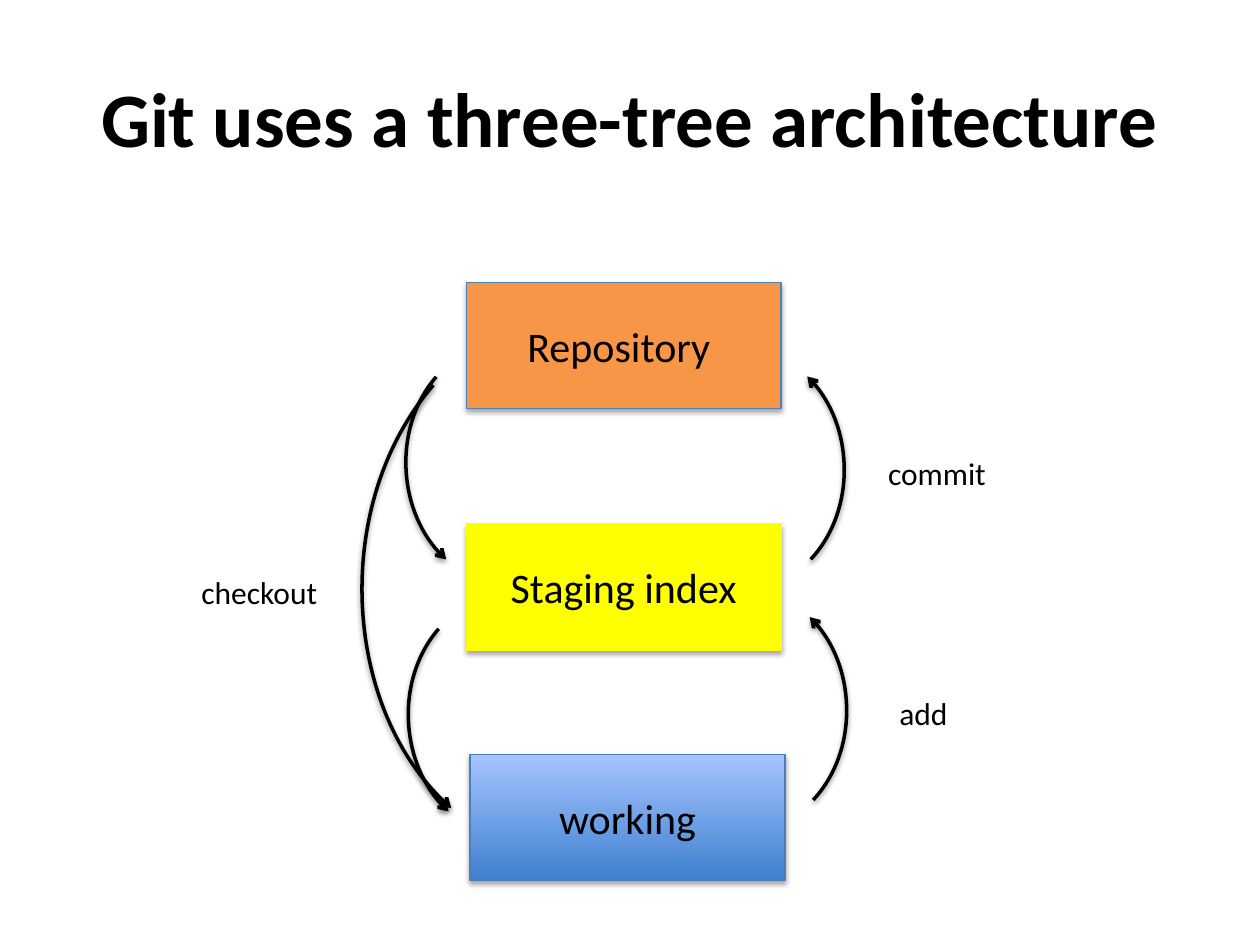
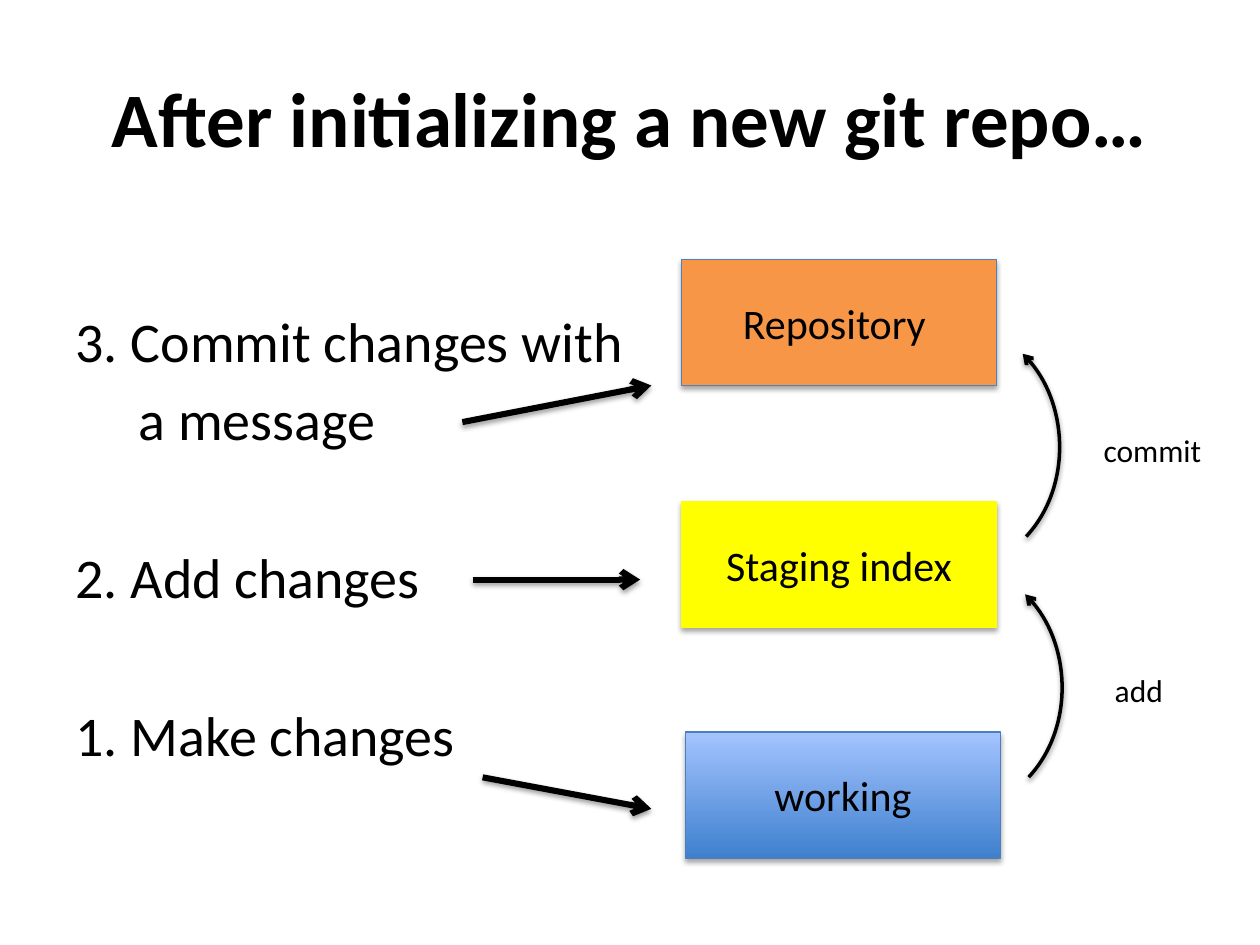
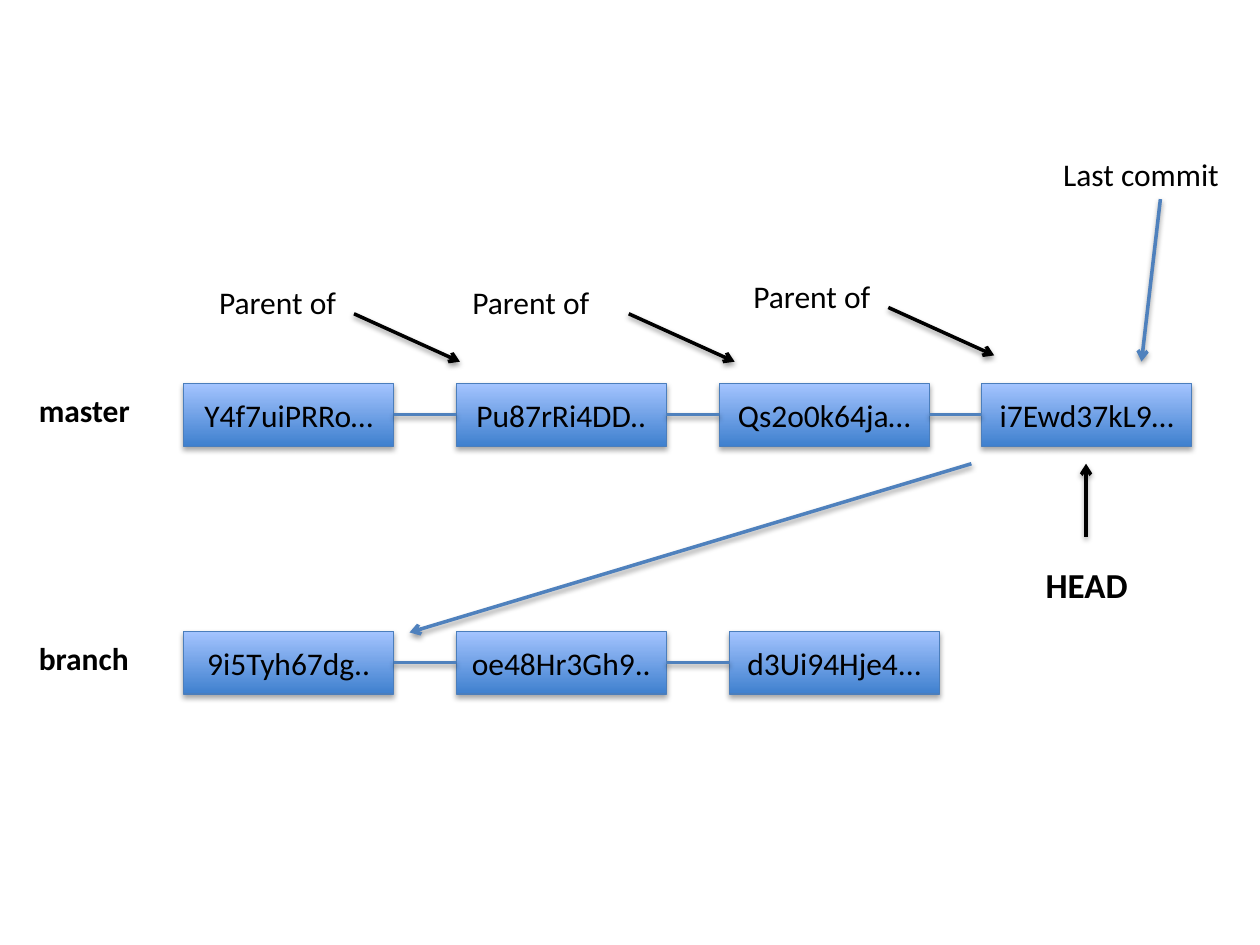
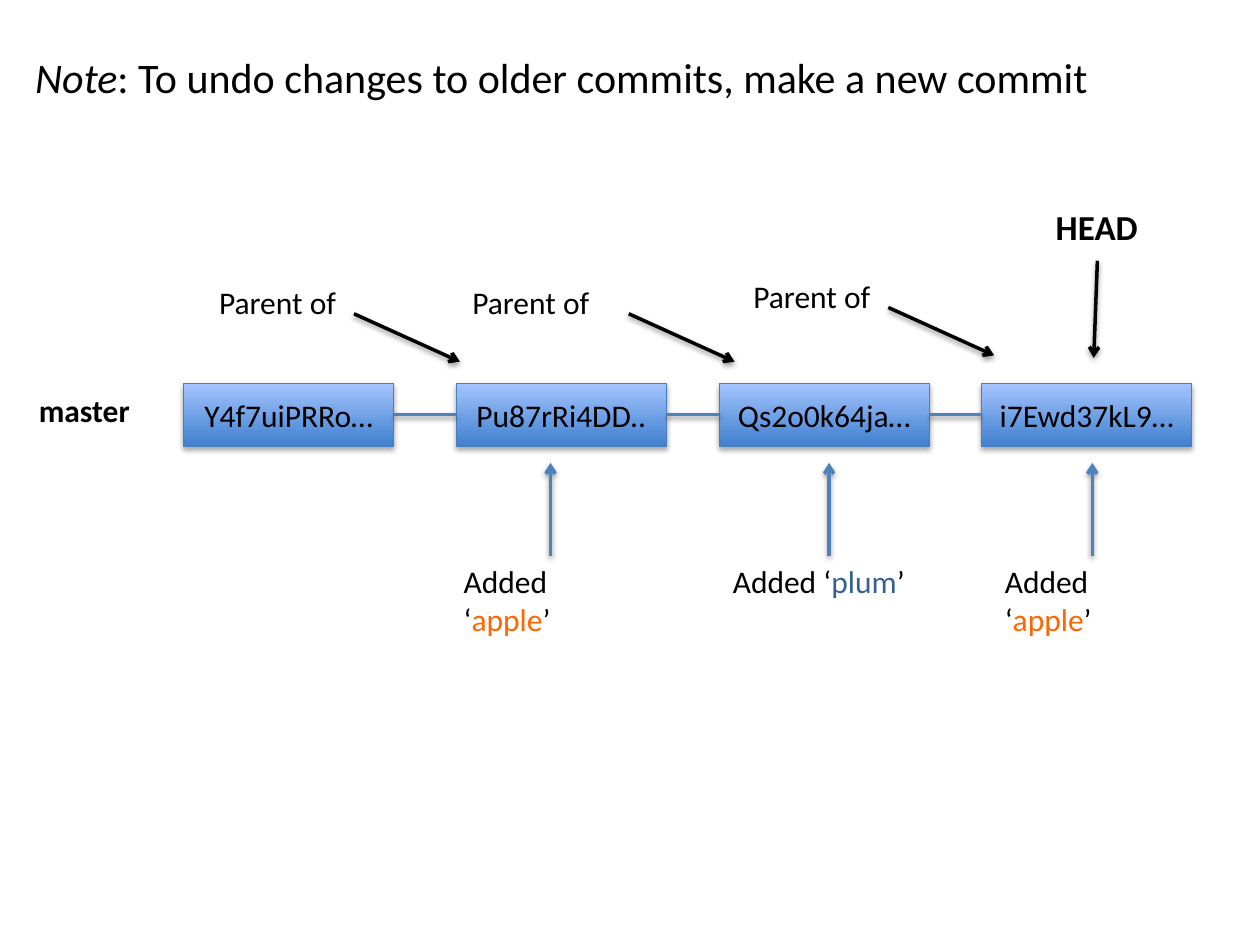
from lxml import etree
from pptx import Presentation
from pptx import util as u
from pptx.dml.color import RGBColor
from pptx.enum import shapes, text
from pptx.oxml import ns

# Shared style
FONT = "Calibri"
COLOURS = {
    "black": "000000", "yellow": "FFFF00", "orange": "F79646", "blue": "4F81BD",
    "gradient_low": "3F80CE", "gradient_high": "A4C4FF", "gradient_line": "4B7EBC",
    "apple": "FF6600", "plum": "376092",
}
NODE_SHADOW = {"alpha": 35, "blur": 3.1, "distance": 1.8}
LINE_SHADOW = {"alpha": 38, "blur": 3.1, "distance": 1.6}

# Three-tree diagram: boxes are (text, left, top, fill, outline)
TREE_BOX = (180, 72)
TREES = [
    ("Staging index", 266.4, 299.5, "yellow", "yellow"),
    ("working", 268.6, 431.3, None, "gradient_line"),
    ("Repository ", 266.4, 161.3, "orange", "blue"),
]
# Arcs are (left, top, width, height) before turning
ARC_SIZE = (75, 72.7)
UP_TURN, DOWN_TURN = 313, 131
UP_ARCS = [(424.8, 231.1, *ARC_SIZE), (426.2, 368.6, *ARC_SIZE)]
DOWN_ARCS = [(214.6, 231.1, *ARC_SIZE), (216, 375.1, *ARC_SIZE),
             (164.9, 257.8, 175.7, 166.3)]
# Labels are (text, left, top, width)
UP_LABELS = [("add", 506.8, 393.1, 42.5), ("commit", 500.4, 255.6, 71.3)]
CHECKOUT_LABEL = ("checkout", 108, 324, 82)

# Steps are (text, left indent, space before)
STEPS = [
    ("3. Commit changes with", 0, 0),
    ("a message", 36, 6.4),
    ("2. Add changes", 0, 51.9),
    ("1. Make changes", 0, 51.9),
]
STEP_ARROWS = [((275.8, 444.2), (372.2, 462.2)),
               ((270, 331.2), (365.8, 331.2)),
               ((264.2, 241.2), (372.2, 220.3))]

# Commit chains
COMMIT_BOX = (120, 36)
MASTER = {
    "name": "master", "top": 219,
    "commits": [("Y4f7uiPRRo…", 105), ("Pu87rRi4DD..", 260.75),
                ("Qs2o0k64ja…", 411), ("i7Ewd37kL9…", 561)],
}
BRANCH = {
    "name": "branch", "top": 360.7,
    "commits": [("9i5Tyh67dg..", 105), ("oe48Hr3Gh9..", 260.75),
                ("d3Ui94Hje4...", 417)],
}
# Label position and arrow start
PARENTS = [((118.1, 158.4), (202.3, 179.3)),
           ((262.8, 158.4), (359.3, 179.3)),
           ((423.4, 154.8), (507.6, 175.7))]
PARENT_ARROW = (60.5, 27.4)
# Additions are (fruit, label left, label width, arrow x)
ADDITIONS = [("apple", 257.9, 115, 314.6),
             ("plum", 411.7, 112.7, 473.8),
             ("apple", 567.1, 115, 624.2)]


def colour(name):
    return RGBColor.from_string(COLOURS[name])


def add_run(paragraph, content, size, name="black", bold=False, italic=False):
    run = paragraph.add_run()
    run.text = content
    run.font.name = FONT
    run.font.size = u.Pt(size)
    run.font.bold = bold
    run.font.italic = italic
    run.font.color.rgb = colour(name)


def add_shadow(shape, alpha, blur, distance):
    properties = shape._element.spPr
    effects = properties.find(ns.qn("a:effectLst"))
    if effects is None:
        effects = etree.SubElement(properties, ns.qn("a:effectLst"))
    shadow = etree.SubElement(
        effects, ns.qn("a:outerShdw"), blurRad=str(u.Pt(blur)),
        dist=str(u.Pt(distance)), dir="5400000", rotWithShape="0")
    tint = etree.SubElement(shadow, ns.qn("a:srgbClr"), val=COLOURS["black"])
    etree.SubElement(tint, ns.qn("a:alpha"), val=str(alpha * 1000))


def add_node(slide, content, left, top, size, font_size, fill=None, outline="gradient_line"):
    """Box with a flat fill, or the blue gradient when no fill is given."""
    shape = slide.shapes.add_shape(
        shapes.MSO_SHAPE.RECTANGLE, *map(u.Pt, (left, top, *size)))
    if fill:
        shape.fill.solid()
        shape.fill.fore_color.rgb = colour(fill)
    else:
        shape.fill.gradient()
        shape.fill.gradient_angle = 90
        for stop, name in zip(shape.fill.gradient_stops, ("gradient_low", "gradient_high")):
            stop.color.rgb = colour(name)
    shape.line.color.rgb = colour(outline)
    shape.line.width = u.Pt(0.75)
    shape.shadow.inherit = False
    add_shadow(shape, **NODE_SHADOW)
    frame = shape.text_frame
    frame.vertical_anchor = text.MSO_ANCHOR.MIDDLE
    paragraph = frame.paragraphs[0]
    paragraph.alignment = text.PP_ALIGN.CENTER
    add_run(paragraph, content, font_size)


def add_label(slide, runs, left, top, width, size=18, bold=False):
    """Runs are a string, or a list of (text, run options)."""
    height = size * 1.22 + 7.2
    box = slide.shapes.add_textbox(*map(u.Pt, (left, top, width, height)))
    box.text_frame.word_wrap = False
    box.text_frame.auto_size = text.MSO_AUTO_SIZE.SHAPE_TO_FIT_TEXT
    if isinstance(runs, str):
        runs = [(runs, {"bold": bold})]
    for content, options in runs:
        add_run(box.text_frame.paragraphs[0], content, size, **options)


def style_line(connector, name, width, arrow):
    connector.line.color.rgb = colour(name)
    connector.line.width = u.Pt(width)
    if arrow:
        line = connector._element.spPr.find(ns.qn("a:ln"))
        etree.SubElement(line, ns.qn("a:tailEnd"), type="arrow")
    add_shadow(connector, **LINE_SHADOW)


def add_line(slide, start, end, name="black", width=2, arrow=True):
    connector = slide.shapes.add_connector(
        shapes.MSO_CONNECTOR.STRAIGHT, *map(u.Pt, (*start, *end)))
    style_line(connector, name, width, arrow)


def add_arc(slide, left, top, width, height, turn):
    connector = slide.shapes.add_connector(
        shapes.MSO_CONNECTOR.CURVE,
        *map(u.Pt, (left, top + height, left + width, top)))
    properties = connector._element.spPr
    properties.find(ns.qn("a:xfrm")).set("rot", str(turn * 60000))
    properties.find(ns.qn("a:prstGeom")).set("prst", "curvedConnector2")
    style_line(connector, "black", 2, True)


def set_title(slide, content):
    title = slide.shapes.title
    title.left, title.top, title.width, title.height = map(u.Pt, (36, 21.6, 648, 90))
    title.text_frame.vertical_anchor = text.MSO_ANCHOR.MIDDLE
    paragraph = title.text_frame.paragraphs[0]
    paragraph.alignment = text.PP_ALIGN.CENTER
    add_run(paragraph, content, 44, bold=True)


def add_trees(slide, dx=0, dy=0):
    for content, left, top, fill, outline in TREES:
        add_node(slide, content, left + dx, top + dy, TREE_BOX, 24, fill, outline)
    for left, top, width, height in UP_ARCS:
        add_arc(slide, left + dx, top + dy, width, height, UP_TURN)
    for content, left, top, width in UP_LABELS:
        add_label(slide, content, left + dx, top + dy, width)


def add_chain(slide, chain):
    top, commits = chain["top"], chain["commits"]
    width, height = COMMIT_BOX
    for content, left in commits:
        add_node(slide, content, left, top, COMMIT_BOX, 18)
    middle = top + height / 2
    for (_, left), (_, following) in zip(commits, commits[1:]):
        add_line(slide, (left + width, middle), (following, middle), "blue", arrow=False)
    add_label(slide, chain["name"], 15.1, top + 0.7, 67.5, bold=True)


def add_master(slide):
    add_chain(slide, MASTER)
    for (left, top), (x, y) in PARENTS:
        add_label(slide, "Parent of", left, top, 83.5)
        add_line(slide, (x, y), (x + PARENT_ARROW[0], y + PARENT_ARROW[1]))


def build_architecture(slide):
    set_title(slide, "Git uses a three-tree architecture")
    add_trees(slide)
    for arc in DOWN_ARCS:
        add_arc(slide, *arc, DOWN_TURN)
    add_label(slide, *CHECKOUT_LABEL)


def build_steps(slide):
    set_title(slide, "After initializing a new git repo…")
    body = slide.placeholders[1]
    body.left, body.top, body.width, body.height = map(u.Pt, (36, 171.5, 648, 311))
    frame = body.text_frame
    frame.auto_size = text.MSO_AUTO_SIZE.NONE
    for index, (content, indent, space) in enumerate(STEPS):
        paragraph = frame.add_paragraph() if index else frame.paragraphs[0]
        properties = paragraph._p.get_or_add_pPr()
        properties.set("marL", str(u.Pt(indent)))
        properties.set("indent", "0")
        etree.SubElement(properties, ns.qn("a:buNone"))
        paragraph.space_before = u.Pt(space)
        add_run(paragraph, content, 32)
    add_trees(slide, 123.1, -13)
    for start, end in STEP_ARROWS:
        add_line(slide, start, end, width=3.5)


def build_branches(slide):
    add_master(slide)
    add_chain(slide, BRANCH)
    add_label(slide, "HEAD", 590.4, 318.2, 61.9, 20, bold=True)
    add_line(slide, (620.6, 306.7), (620.6, 265))
    add_label(slide, "Last commit", 600.5, 85, 105.1)
    add_line(slide, (663.1, 113.8), (652.3, 206.6), "blue")
    add_line(slide, (555.1, 265), (234, 361.4), "blue")


def build_undo(slide):
    add_master(slide)
    add_label(slide, "HEAD", 596.2, 113.8, 61.9, 20, bold=True)
    add_line(slide, (627.1, 149), (625, 204.5))
    note = [("Note", {"italic": True}),
            (": To undo changes to older commits, make a new commit", {})]
    add_label(slide, note, 13, 25.9, 627.1, 24)
    for fruit, left, width, x in ADDITIONS:
        runs = [("Added ‘", {}), (fruit, {"name": fruit}), ("’", {})]
        add_label(slide, runs, left, 317.5, width)
        add_line(slide, (x, 317.5), (x, 264.5), "blue")


def main():
    presentation = Presentation()
    presentation.slide_width, presentation.slide_height = u.Pt(720), u.Pt(540)
    # Template layouts: 5 title only, 1 title and content, 6 blank
    for layout, build in ((5, build_architecture), (1, build_steps),
                          (6, build_branches), (6, build_undo)):
        build(presentation.slides.add_slide(presentation.slide_layouts[layout]))
    presentation.save("out.pptx")


if __name__ == "__main__":
    main()
